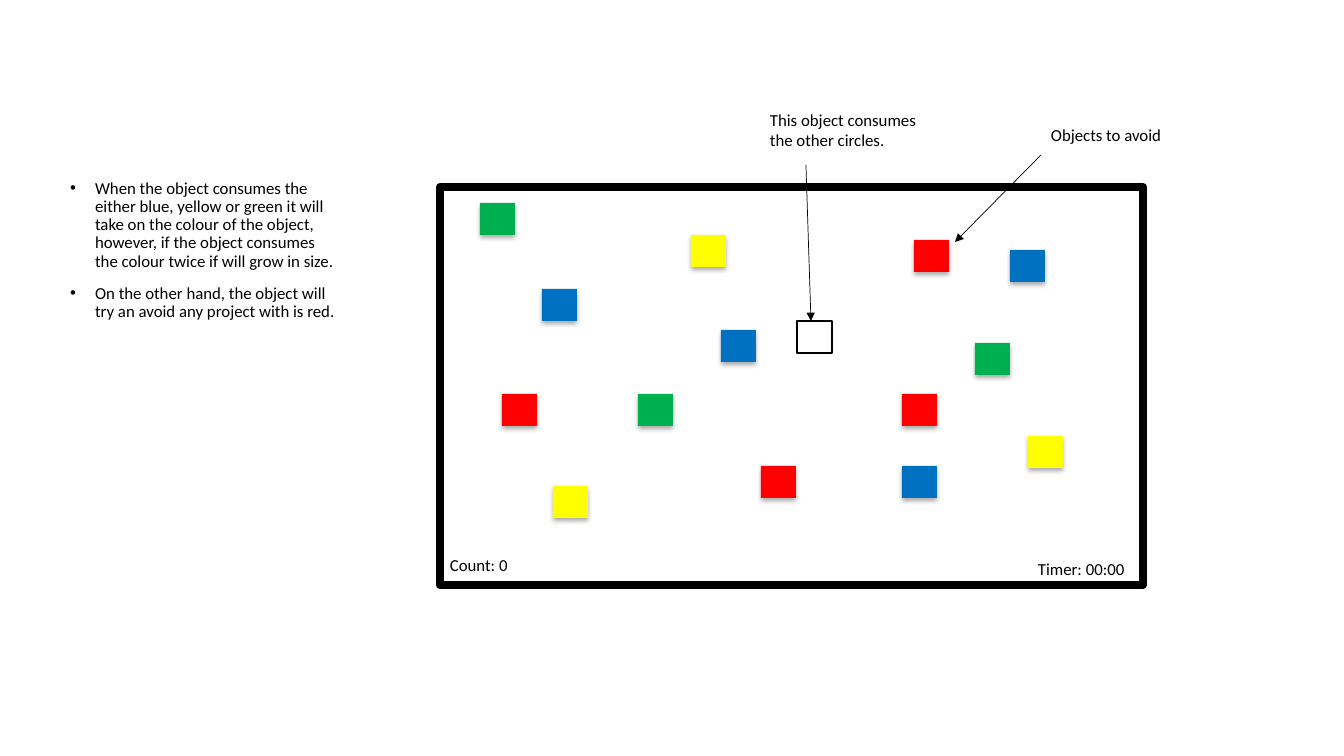
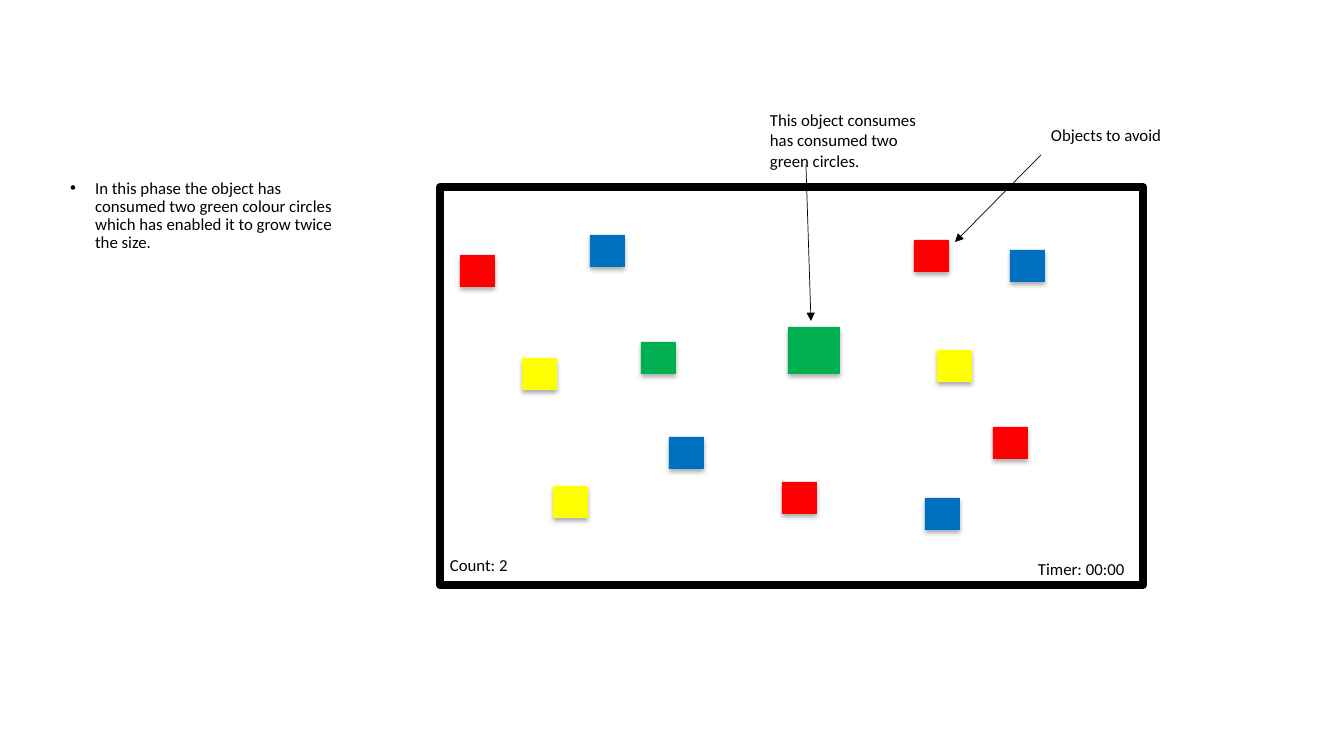
from dataclasses import dataclass
from lxml import etree
from pptx import Presentation
from pptx.dml.color import RGBColor
from pptx.enum.shapes import MSO_CONNECTOR, MSO_SHAPE
from pptx.enum.text import MSO_ANCHOR, MSO_AUTO_SIZE, PP_ALIGN
from pptx.oxml.ns import qn
from pptx.util import Pt

RECT = MSO_SHAPE.RECTANGLE
STRAIGHT = MSO_CONNECTOR.STRAIGHT
LEFT = PP_ALIGN.LEFT
TOP = MSO_ANCHOR.TOP
FIXED = MSO_AUTO_SIZE.NONE
GROW = MSO_AUTO_SIZE.SHAPE_TO_FIT_TEXT
SCALE = 12192000 / 1344


def px(n):
    return round(n * SCALE)


@dataclass(frozen=True)
class Theme:
    font: str = "Calibri"
    size: int = 12
    black: str = "000000"
    white: str = "FFFFFF"
    green: str = "00B050"
    yellow: str = "FFFF00"
    blue: str = "0070C0"
    red: str = "FF0000"
    frame_line: float = 6
    player_line: float = 1
    arrow_line: float = 0.5


class Deck:
    def __init__(self, theme):
        self.t = theme
        self.prs = Presentation()
        self.prs.slide_width, self.prs.slide_height = px(1344), px(756)

    def slide(self):
        self.s = self.prs.slides.add_slide(self.prs.slide_layouts[1])
        title = self.s.shapes.title.element
        title.getparent().remove(title)

    def add_text(self, p, text):
        r = p.add_run()
        r.text = text
        r.font.name = self.t.font
        r.font.size = Pt(self.t.size)
        r.font.color.rgb = RGBColor.from_string(self.t.black)
        p.alignment = LEFT

    def bullets(self, x, y, w, h, items):
        sp = self.s.placeholders[1]
        sp.left, sp.top, sp.width, sp.height = map(px, (x, y, w, h))
        tf = sp.text_frame
        tf.auto_size = FIXED
        tf.vertical_anchor = TOP
        for i, item in enumerate(items):
            p = tf.add_paragraph() if i else tf.paragraphs[0]
            p.line_spacing = 0.9
            p.space_before = Pt(10)
            pPr = p._p.get_or_add_pPr()
            pPr.set("marL", str(px(25)))
            pPr.set("indent", str(-px(25)))
            etree.SubElement(pPr, qn("a:buFont"), typeface="Arial")
            etree.SubElement(pPr, qn("a:buChar"), char="\u2022")
            self.add_text(p, item)

    def label(self, x, y, w, h, text):
        tf = self.s.shapes.add_textbox(*map(px, (x, y, w, h))).text_frame
        tf.word_wrap = True
        tf.auto_size = GROW
        self.add_text(tf.paragraphs[0], text)

    def rect(self, x, y, w, h, fill, line=None):
        sp = self.s.shapes.add_shape(RECT, *map(px, (x, y, w, h)))
        sp.fill.solid()
        sp.fill.fore_color.rgb = RGBColor.from_string(fill)
        if line:
            sp.line.color.rgb = RGBColor.from_string(self.t.black)
            sp.line.width = Pt(line)
        else:
            sp.line.fill.background()
        sp.shadow.inherit = False
        return sp

    def square(self, x, y, fill, w=35, h=32):
        sp = self.rect(x, y, w, h, fill)
        effects = sp.element.spPr.find(qn("a:effectLst"))
        shadow = etree.SubElement(effects, qn("a:outerShdw"), blurRad=str(Pt(3.5)),
                                  dist=str(Pt(2.2)), dir="5400000", rotWithShape="0")
        color = etree.SubElement(shadow, qn("a:srgbClr"), val=self.t.black)
        etree.SubElement(color, qn("a:alpha"), val="32000")

    def arrow(self, x1, y1, x2, y2):
        c = self.s.shapes.add_connector(STRAIGHT, *map(px, (x1, y1, x2, y2)))
        c.line.color.rgb = RGBColor.from_string(self.t.black)
        c.line.width = Pt(self.t.arrow_line)
        spPr = c.element.spPr
        etree.SubElement(spPr.find(qn("a:ln")), qn("a:tailEnd"), type="triangle")
        etree.SubElement(spPr, qn("a:effectLst"))

    def board(self, notes, squares, caption, caption_height, count):
        self.slide()
        self.bullets(60, 175, 289, 394, notes)
        self.rect(440, 187, 703, 398, self.t.white, self.t.frame_line)
        for fill, places in squares.items():
            for x, y in places:
                self.square(x, y, fill)
        self.arrow(806, 165, 811, 321)
        self.arrow(1041, 155, 955, 242)
        self.label(760, 105, 184, caption_height, caption)
        self.label(1041, 120, 138, 30, "Objects to avoid")
        self.label(440, 550, 164, 30, f"Count: {count}")
        self.label(1028, 554, 164, 30, "Timer: 00:00")


theme = Theme()
deck = Deck(theme)

deck.board(
    ["When the object consumes the either blue, yellow or green it will take on the colour "
     "of the object, however, if the object consumes the colour twice if will grow in size.",
     "On the other hand, the object will try an avoid any project with is red."],
    {theme.green: [(480, 203), (638, 394), (975, 343)],
     theme.yellow: [(553, 486), (691, 235), (1028, 436)],
     theme.blue: [(1010, 250), (542, 289), (902, 466), (721, 330)],
     theme.red: [(502, 394), (902, 394), (761, 466), (914, 240)]},
    "This object consumes the other circles.", 50, 0)
deck.rect(797, 321, 35, 32, theme.white, theme.player_line)

deck.board(
    ["In this phase the object has consumed two green colour circles which has enabled it "
     "to grow twice the size."],
    {theme.green: [(641, 342)],
     theme.yellow: [(553, 486), (522, 358), (937, 350)],
     theme.blue: [(1010, 250), (590, 235), (925, 498), (669, 437)],
     theme.red: [(460, 255), (993, 427), (782, 482), (914, 240)]},
    "This object consumes has consumed two green circles.", 72, 2)
deck.square(788, 327, theme.green, 52, 47)

deck.prs.save("out.pptx")
